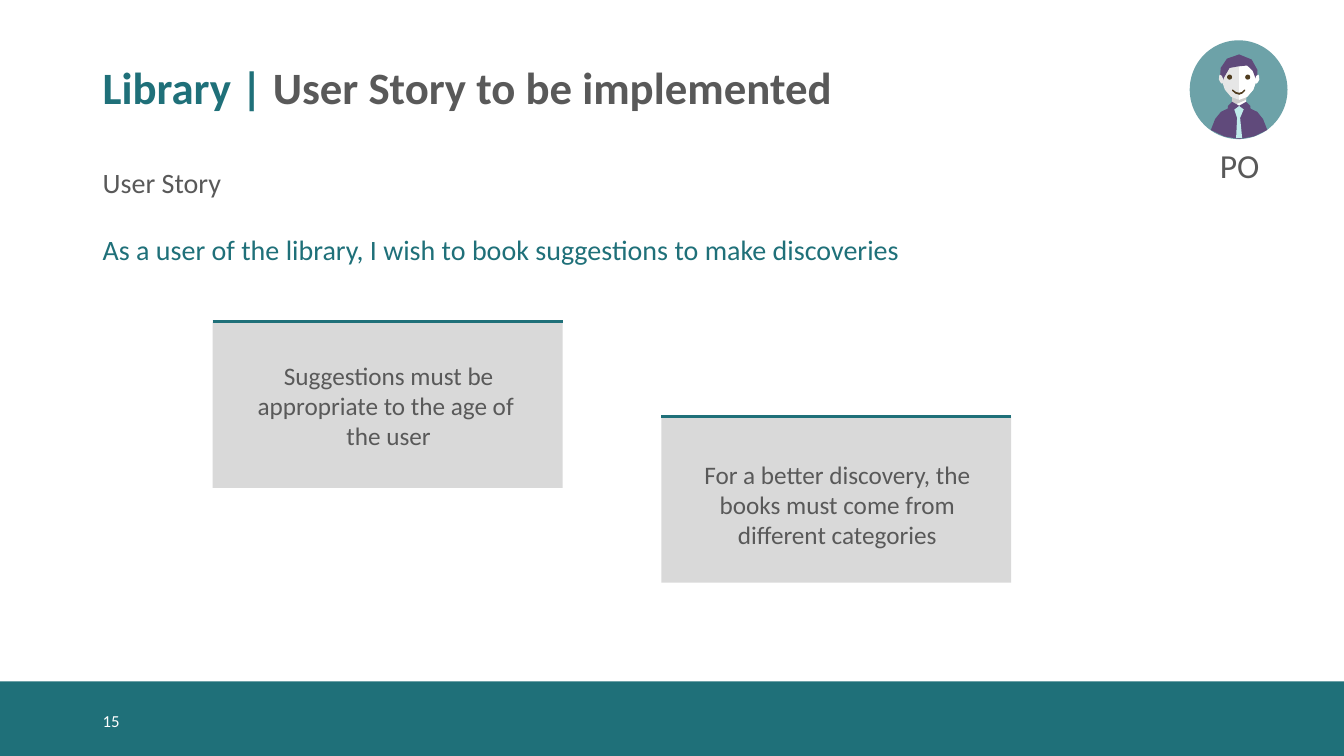
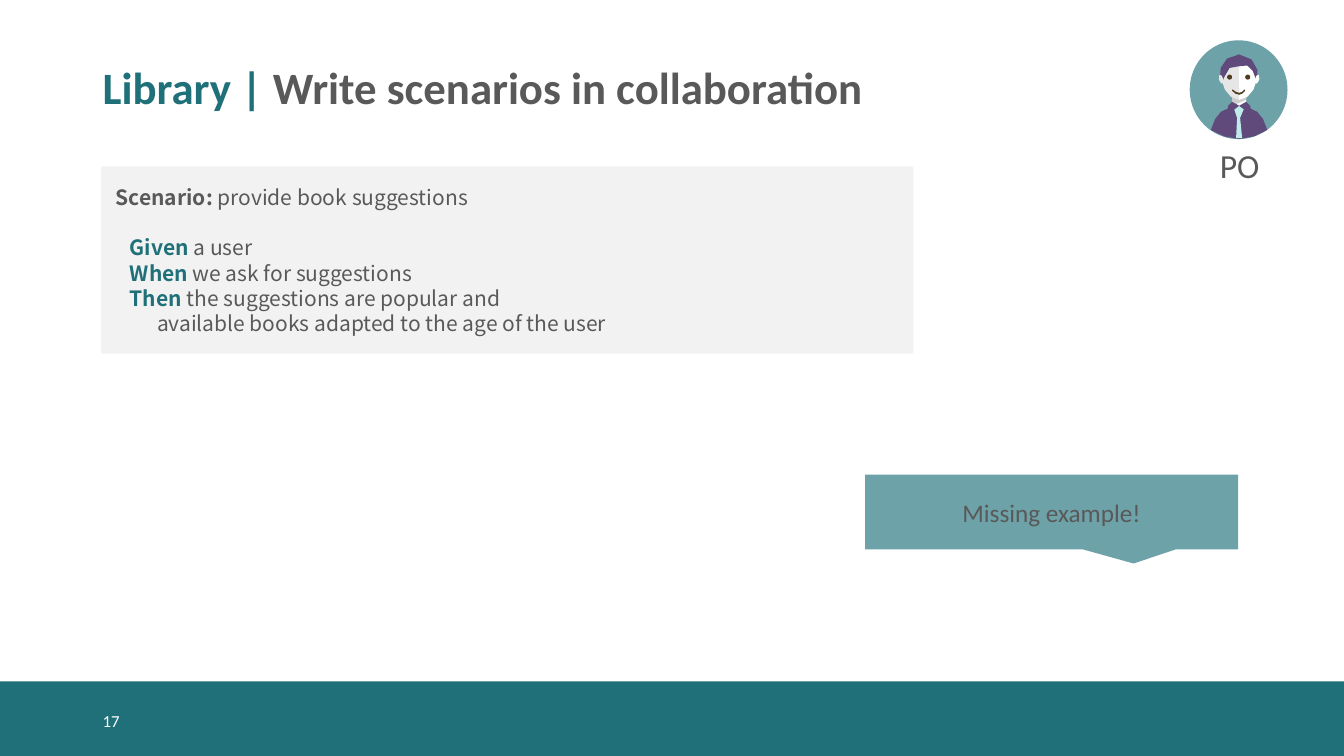
import math
from dataclasses import dataclass

from pptx import Presentation
from pptx import util as u
from pptx.dml.color import RGBColor
from pptx.enum import shapes, text
from pptx.oxml import ns
from lxml import etree


@dataclass(frozen=True)
class Theme:
    font: str = "Calibri"
    scenario_font: str = "Noto Sans CJK SC"
    teal: str = "1F7079"
    mist: str = "6DA2A8"
    ink: str = "595959"
    white: str = "FFFFFF"
    card: str = "D9D9D9"
    panel: str = "F2F2F2"
    suit: str = "604A7B"
    skin: str = "E6E6E6"
    neck_shade: str = "CCCCCC"
    tie: str = "BFEBEA"
    eye: str = "503D20"
    title_size: int = 32
    role_size: int = 24
    body_size: int = 20
    card_size: int = 18
    scenario_size: int = 15
    number_size: int = 12


@dataclass(frozen=True)
class Line:
    runs: tuple
    space_before: float = 0
    indent: float = 0


THEME = Theme()
WIDTH, HEIGHT = 13.33, 7.5
MARGIN = 0.92
AVATAR_BOX = (11.8, 0.4, 0.97, 0.98)
CARD_SIZE = (3.47, 1.65)
SHAPE = shapes.MSO_SHAPE
CENTER = text.PP_ALIGN.CENTER
MIDDLE = text.MSO_ANCHOR.MIDDLE

SHOULDERS = [[(0, 65)], [(5, 65), (10, 66), (18, 71)],
             [(23, 74), (25, 81), (28, 89)], [(20, 94), (10, 98), (0, 98)],
             [(-10, 98), (-20, 94), (-28, 89)],
             [(-25, 81), (-23, 74), (-18, 71)], [(-10, 66), (-5, 65), (0, 65)]]
NECK = [[(-7, 44)], [(7, 44)], [(7, 64)], [(7, 71), (-7, 72), (-7, 64)]]
NECK_SHADE = [[(7, 59)], [(7, 56)], [(-7, 56)], [(-7, 65)]]
HALF_FACE = [[(0, 21)], [(29, 21), (17, 59), (0, 59)]]
FACE = HALF_FACE + [[(-17, 59), (-29, 21), (0, 21)]]
HAIR = [[(8, 25)], [(13, 27), (15, 33), (16, 37)],
        [(17, 43), (16, 42), (18, 38)], [(21, 33), (16, 14), (0, 14)],
        [(-15, 14), (-21, 29), (-19, 37)], [(-17, 45), (-17, 43), (-15, 37)],
        [(-12, 21), (0, 28), (8, 25)]]
EAR = [[(19, 34)], [(20, 34), (20, 36), (20, 39)],
       [(19, 41), (18, 43), (17, 43)], [(16, 43), (15, 41), (16, 38)],
       [(16, 36), (18, 34), (19, 34)]]
TIE = [[(-2, 77)], [(-3, 97)], [(3, 97)], [(1, 77)], [(6, 65)], [(-6, 65)]]
COLLAR = [[(7, 61)], [(11, 65)], [(12, 74)], [(0, 65)]]
MOUTH = [[(-7, 50)], [(-5, 52), (-3, 54), (0, 54)],
         [(2, 54), (5, 52), (6, 50)], [(6, 49)], [(5, 49)],
         [(4, 51), (2, 52), (0, 52)], [(-2, 52), (-4, 51), (-6, 49)],
         [(-7, 49)]]


def color(value):
    return RGBColor.from_string(value)


def inches(values):
    return [u.Inches(value) for value in values]


def paint(shape, fill):
    shape.shadow.inherit = False
    shape.fill.solid()
    shape.fill.fore_color.rgb = color(fill)
    shape.line.fill.background()
    return shape


def add_block(slide, kind, box, fill):
    return paint(slide.shapes.add_shape(kind, *inches(box)), fill)


def write(shape, lines, size, ink=THEME.ink, font=THEME.font, align=None,
          anchor=MIDDLE, insets=(0.1, 0.05, 0.1, 0.05), spacing=None):
    frame = shape.text_frame
    frame.word_wrap = True
    frame.vertical_anchor = anchor
    (frame.margin_left, frame.margin_top,
     frame.margin_right, frame.margin_bottom) = inches(insets)
    for index, line in enumerate(lines):
        paragraph = frame.add_paragraph() if index else frame.paragraphs[0]
        paragraph.alignment = align or text.PP_ALIGN.LEFT
        if spacing:
            paragraph.line_spacing = spacing
        if line.space_before:
            paragraph.space_before = u.Pt(line.space_before)
        if line.indent:
            properties = paragraph._p.get_or_add_pPr()
            properties.set("marL", str(u.Inches(line.indent)))
            properties.set("indent", "0")
        paragraph.font.name = font
        paragraph.font.size = u.Pt(size)
        paragraph.font.color.rgb = color(ink)
        for words, run_ink, bold in line.runs:
            run = paragraph.add_run()
            run.text = words
            if bold:
                run.font.bold = True
            if run_ink:
                run.font.color.rgb = color(run_ink)


def plain(words, ink=None, **layout):
    return Line(((words, ink, False),), **layout)


def add_text(slide, box, lines, size, **style):
    write(slide.shapes.add_textbox(*inches(box)), lines, size, **style)


def mirror(outline):
    return [[(-x, y) for x, y in segment] for segment in outline]


def flatten(outline, spacing=14):
    points = [outline[0][0]]
    for segment in outline[1:]:
        if len(segment) == 1:
            points += segment
            continue
        controls = [points[-1], *segment]
        length = sum(map(math.dist, controls, segment))
        steps = max(2, round(length / spacing))
        for step in range(1, steps + 1):
            t = step / steps
            weights = ((1 - t) ** 3, 3 * t * (1 - t) ** 2,
                       3 * t ** 2 * (1 - t), t ** 3)
            points.append(tuple(
                sum(weight * point[axis]
                    for weight, point in zip(weights, controls))
                for axis in (0, 1)))
    return points if points[-1] != points[0] else points[:-1]


def add_avatar(slide, box, role):
    left, top, width, height = box
    center = left + 0.49

    def draw(outline, fill):
        points = [inches((center + x / 100, top + y / 100))
                  for x, y in flatten(outline)]
        builder = slide.shapes.build_freeform(*points[0], scale=1.0)
        builder.add_line_segments(points[1:], close=True)
        paint(builder.convert_to_shape(), fill)

    add_block(slide, SHAPE.OVAL, box, THEME.mist)
    draw(SHOULDERS, THEME.suit)
    add_block(slide, SHAPE.RECTANGLE,
              (center - 0.1, top + 0.65, 0.2, 0.22), THEME.suit)
    for outline, fill in ((NECK, THEME.white), (NECK_SHADE, THEME.neck_shade),
                          (FACE, THEME.skin), (HALF_FACE, THEME.white),
                          (HAIR, THEME.suit), (EAR, THEME.white),
                          (mirror(EAR), THEME.skin), (TIE, THEME.tie),
                          (mirror(COLLAR), THEME.suit), (COLLAR, THEME.suit),
                          (MOUTH, THEME.eye)):
        draw(outline, fill)
    for offset in (-0.12, 0.06):
        add_block(slide, SHAPE.OVAL,
                  (center + offset, top + 0.34, 0.05, 0.05), THEME.eye)
    add_text(slide, (left + 0.01, top + height + 0.01, width, 0.5),
             [plain(role)], THEME.role_size, align=CENTER,
             anchor=text.MSO_ANCHOR.TOP)


def add_page(presentation, title, number):
    slide = presentation.slides.add_slide(presentation.slide_layouts[6])
    add_block(slide, SHAPE.RECTANGLE, (0, 6.76, WIDTH, 0.74), THEME.teal)
    heading = Line((("Library | ", THEME.teal, True), (title, None, True)))
    add_text(slide, (MARGIN, 0.4, 11.5, 0.99), [heading], THEME.title_size,
             spacing=0.9)
    add_text(slide, (MARGIN, 6.95, 1.37, 0.4), [plain(str(number))],
             THEME.number_size, ink=THEME.white)
    add_avatar(slide, AVATAR_BOX, "PO")
    return slide


def add_card(slide, left, top, words, top_inset):
    width, height = CARD_SIZE
    card = add_block(slide, SHAPE.RECTANGLE, (left, top, width, height),
                     THEME.card)
    write(card, [plain(part) for part in words], THEME.card_size,
          align=CENTER, insets=(0.14, top_inset, 0.12, 0))
    rule = slide.shapes.add_connector(
        shapes.MSO_CONNECTOR.STRAIGHT, *inches((left, top, left + width, top)))
    rule.line.color.rgb = color(THEME.teal)
    rule.line.width = u.Pt(2)
    etree.SubElement(rule._element.spPr, ns.qn("a:effectLst"))


def add_scenario(slide, box):
    def step(keyword, words, **layout):
        return Line(((keyword, THEME.teal, True), (words, None, False)),
                    indent=0.19, **layout)

    lines = [
        Line((("Scenario: ", None, True),
              ("provide book suggestions", None, False)), indent=0.05),
        step("Given", " a user", space_before=18),
        step("When", " we ask for suggestions"),
        step("Then", " the suggestions are popular and"),
        plain("available books adapted to the age of the user", indent=0.46),
    ]
    panel = add_block(slide, SHAPE.RECTANGLE, box, THEME.panel)
    write(panel, lines, THEME.scenario_size, font=THEME.scenario_font)


def add_callout(slide, box, words):
    callout = add_block(slide, SHAPE.RECTANGULAR_CALLOUT, box, THEME.mist)
    callout.adjustments[0] = 0.22
    callout.adjustments[1] = 0.69
    write(callout, [plain(words)], THEME.card_size, align=CENTER)


def build_user_story(presentation):
    slide = add_page(presentation, "User Story to be implemented", 15)
    story = ("As a user of the library, I wish to book suggestions "
             "to make discoveries")
    add_text(slide, (MARGIN, 1.59, 8.25, 1.1),
             [plain("User Story"), plain(story, THEME.teal, space_before=24)],
             THEME.body_size, anchor=text.MSO_ANCHOR.TOP)
    add_card(slide, 2.11, 3.19,
             ["Suggestions must be appropriate to the age of ", "the user"],
             top_inset=0.01)
    add_card(slide, 6.56, 4.13,
             ["For a better discovery, the books must come from "
              "different categories"], top_inset=0.1)


def build_scenarios(presentation):
    slide = add_page(presentation, "Write scenarios in collaboration", 17)
    add_scenario(slide, (1, 1.65, 8.06, 1.86))
    add_callout(slide, (8.58, 4.71, 3.7, 0.74), "Missing example!")


def main():
    presentation = Presentation()
    presentation.slide_width = u.Inches(WIDTH)
    presentation.slide_height = u.Inches(HEIGHT)
    build_user_story(presentation)
    build_scenarios(presentation)
    presentation.save("out.pptx")


if __name__ == "__main__":
    main()
